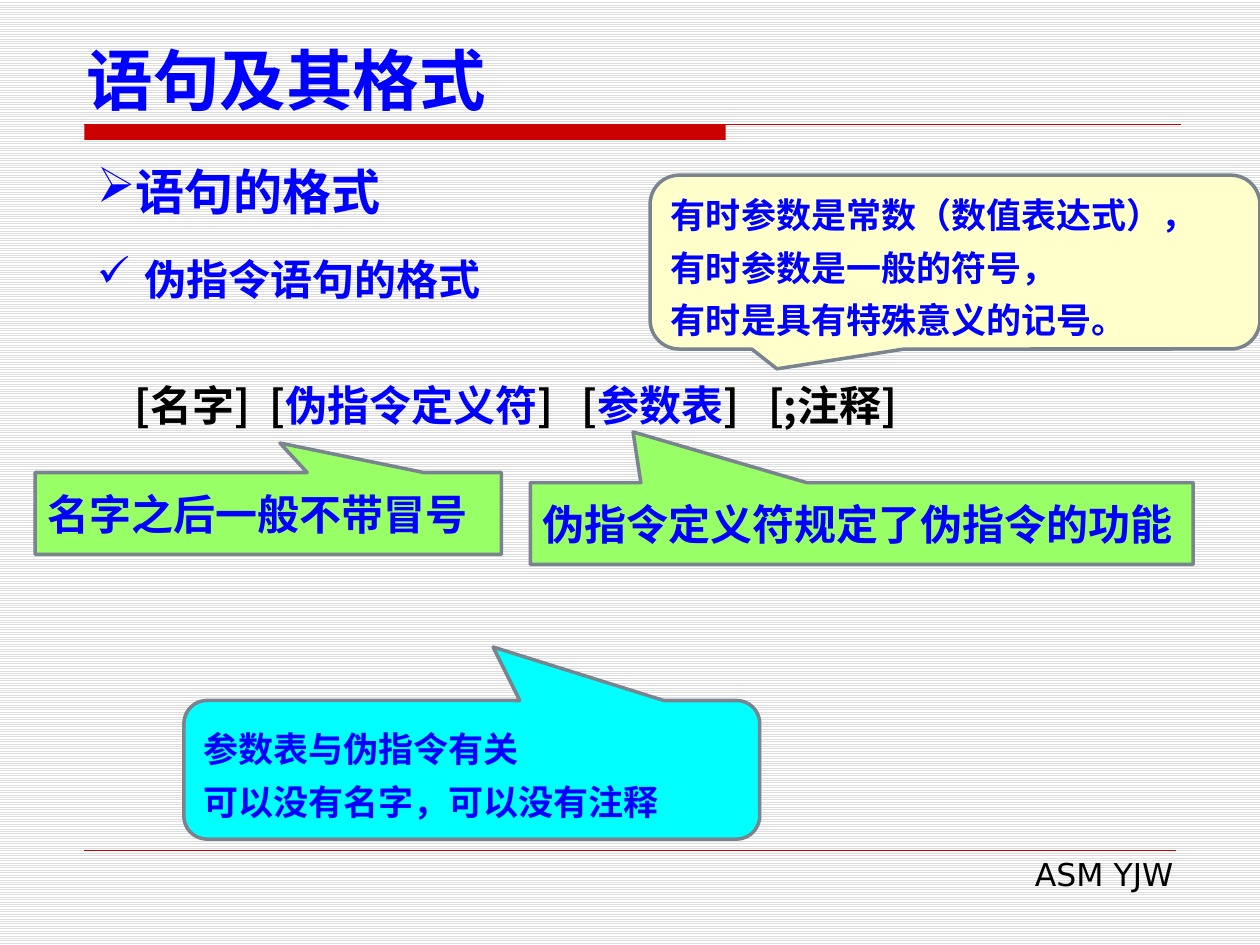
from lxml.etree import SubElement
from pptx import Presentation
from pptx.dml.color import RGBColor
from pptx.enum.dml import MSO_PATTERN
from pptx.enum.shapes import MSO_CONNECTOR, MSO_SHAPE
from pptx.enum.text import MSO_ANCHOR, PP_ALIGN
from pptx.oxml.ns import qn
from pptx.util import Inches, Pt

COLORS = {
    "blue": "0000FF", "black": "000000", "red": "CC0000", "gray": "79848F",
    "green": "99FF66", "cyan": "00FFFF", "cream": "FFFFCC",
    "stripe": "DDDDDD", "white": "FFFFFF",
}
SANS = "DejaVu Sans"
CJK = "Noto Sans CJK SC"


class SlideBuilder:
    def __init__(self, deck):
        self.page = deck.slides.add_slide(deck.slide_layouts[6])
        self.shapes = self.page.shapes

    def color(self, name):
        return RGBColor.from_string(COLORS[name])

    def background(self):
        fill = self.page.background.fill
        fill.patterned()
        fill.pattern = MSO_PATTERN.LIGHT_HORIZONTAL
        fill.fore_color.rgb = self.color("stripe")
        fill.back_color.rgb = self.color("white")

    def line(self, left, right, top, width):
        rule = self.shapes.add_connector(
            MSO_CONNECTOR.STRAIGHT, Inches(left), Inches(top), Inches(right), Inches(top))
        rule.line.color.rgb = self.color("red")
        rule.line.width = Pt(width)
        SubElement(rule._element.spPr, qn("a:effectLst"))

    def shape(self, kind, place, fill):
        shape = self.shapes.add_shape(kind, *map(Inches, place))
        shape.shadow.inherit = False
        shape.fill.solid()
        shape.fill.fore_color.rgb = self.color(fill)
        shape.line.fill.background()
        return shape

    def text_box(self, place, anchor=MSO_ANCHOR.TOP):
        box = self.shapes.add_textbox(*map(Inches, place))
        box.text_frame.word_wrap = True
        box.text_frame.vertical_anchor = anchor
        return box

    def add_spans(self, para, spans, size, font=SANS, bold=True, spacing=None,
                  align=PP_ALIGN.LEFT):
        para.alignment = align
        if spacing:
            para.line_spacing = Pt(spacing)
        for text, color in spans:
            span = para.add_run()
            span.text = text
            span.font.name = font
            span.font.size = Pt(size)
            span.font.bold = bold
            span.font.color.rgb = self.color(color)

    def bullet(self, para, mark, indent=0):
        properties = para._p.get_or_add_pPr()
        properties.set("marL", str(Inches(indent)))
        properties.set("indent", str(-Inches(indent)))
        SubElement(properties, qn("a:buChar"), char=mark)

    def callout(self, kind, place, tip, fill, lines, size, font=SANS, spacing=None):
        shape = self.shape(kind, place, fill)
        shape.line.color.rgb = self.color("gray")
        shape.line.width = Pt(2)
        for index, value in enumerate(tip):
            shape.adjustments[index] = value
        frame = shape.text_frame
        frame.word_wrap = True
        frame.vertical_anchor = MSO_ANCHOR.MIDDLE
        for index, text in enumerate(lines):
            para = frame.add_paragraph() if index else frame.paragraphs[0]
            self.add_spans(para, [(text, "blue")], size, font, spacing=spacing)


def main():
    deck = Presentation()
    deck.slide_width, deck.slide_height = Inches(10), Inches(7.5)
    slide = SlideBuilder(deck)
    slide.background()
    slide.shape(MSO_SHAPE.RECTANGLE, (0.67, 0.99, 5.09, 0.12), "red")
    slide.line(0.67, 9.37, 0.99, 0.75)
    slide.line(0.67, 9.33, 6.75, 0.25)

    footer = slide.text_box((3.82, 6.74, 5.59, 0.4))
    slide.add_spans(footer.text_frame.paragraphs[0], [("ASM YJW", "black")], 18,
                    bold=False, align=PP_ALIGN.RIGHT)

    title = slide.text_box((0.59, 0.28, 9.06, 0.71), MSO_ANCHOR.BOTTOM)
    slide.add_spans(title.text_frame.paragraphs[0], [("语句及其格式", "blue")], 38)

    heading = slide.text_box((0.67, 1.23, 8.66, 0.57)).text_frame.paragraphs[0]
    slide.bullet(heading, "➢")
    slide.add_spans(heading, [("语句的格式", "blue")], 28, align=PP_ALIGN.JUSTIFY)

    body = slide.text_box((0.67, 1.86, 9.06, 1.62)).text_frame
    topic = body.paragraphs[0]
    slide.bullet(topic, "✓", 0.38)
    slide.add_spans(topic, [("伪指令语句的格式", "blue")], 24, CJK, spacing=36)
    syntax = body.add_paragraph()
    syntax.space_before = Pt(36)
    syntax._p.get_or_add_pPr().set("marL", str(Inches(0.3)))
    slide.add_spans(syntax, [
        ("[名字]  [", "black"), ("伪指令定义符", "blue"), ("]   [", "black"),
        ("参数表", "blue"), ("]   [;注释]", "black"),
    ], 24, CJK, spacing=36)

    slide.callout(MSO_SHAPE.RECTANGULAR_CALLOUT, (4.21, 3.83, 5.26, 0.65),
                  (-0.345, -1.118), "green", ["伪指令定义符规定了伪指令的功能"], 24)
    slide.callout(MSO_SHAPE.RECTANGULAR_CALLOUT, (0.28, 3.75, 3.7, 0.65),
                  (0.025, -0.86), "green", ["名字之后一般不带冒号"], 24)
    slide.callout(MSO_SHAPE.ROUNDED_RECTANGULAR_CALLOUT, (1.46, 5.56, 4.57, 1.1),
                  (0.037, -0.886, 0.167), "cyan",
                  ["参数表与伪指令有关", "可以没有名字，可以没有注释"], 20, spacing=30)
    slide.callout(MSO_SHAPE.ROUNDED_RECTANGULAR_CALLOUT, (5.16, 1.39, 4.84, 1.38),
                  (-0.292, 0.614, 0.167), "cream",
                  ["有时参数是常数（数值表达式），", "有时参数是一般的符号，",
                   "有时是具有特殊意义的记号。"], 20, CJK, spacing=30)
    deck.save("out.pptx")


if __name__ == "__main__":
    main()
